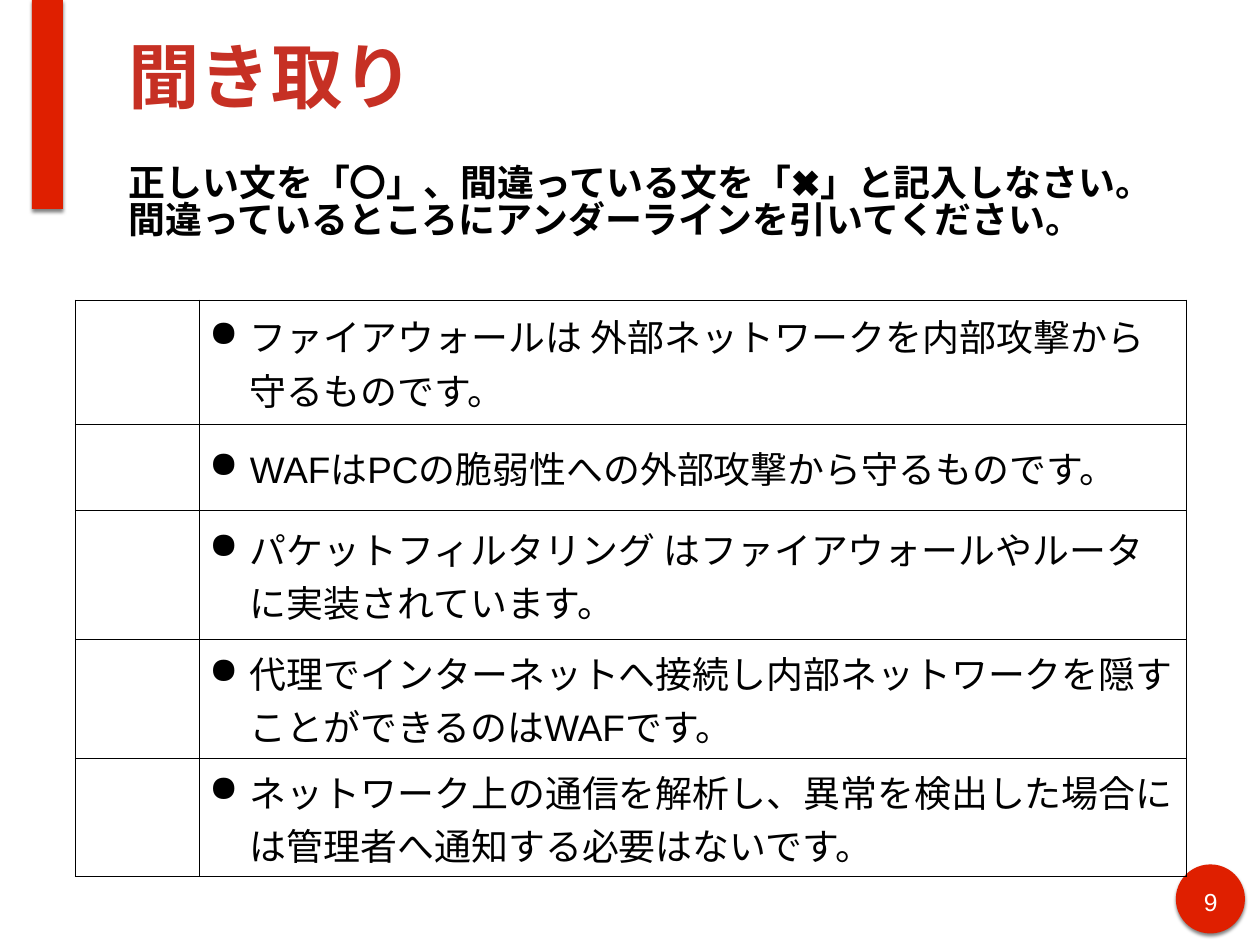
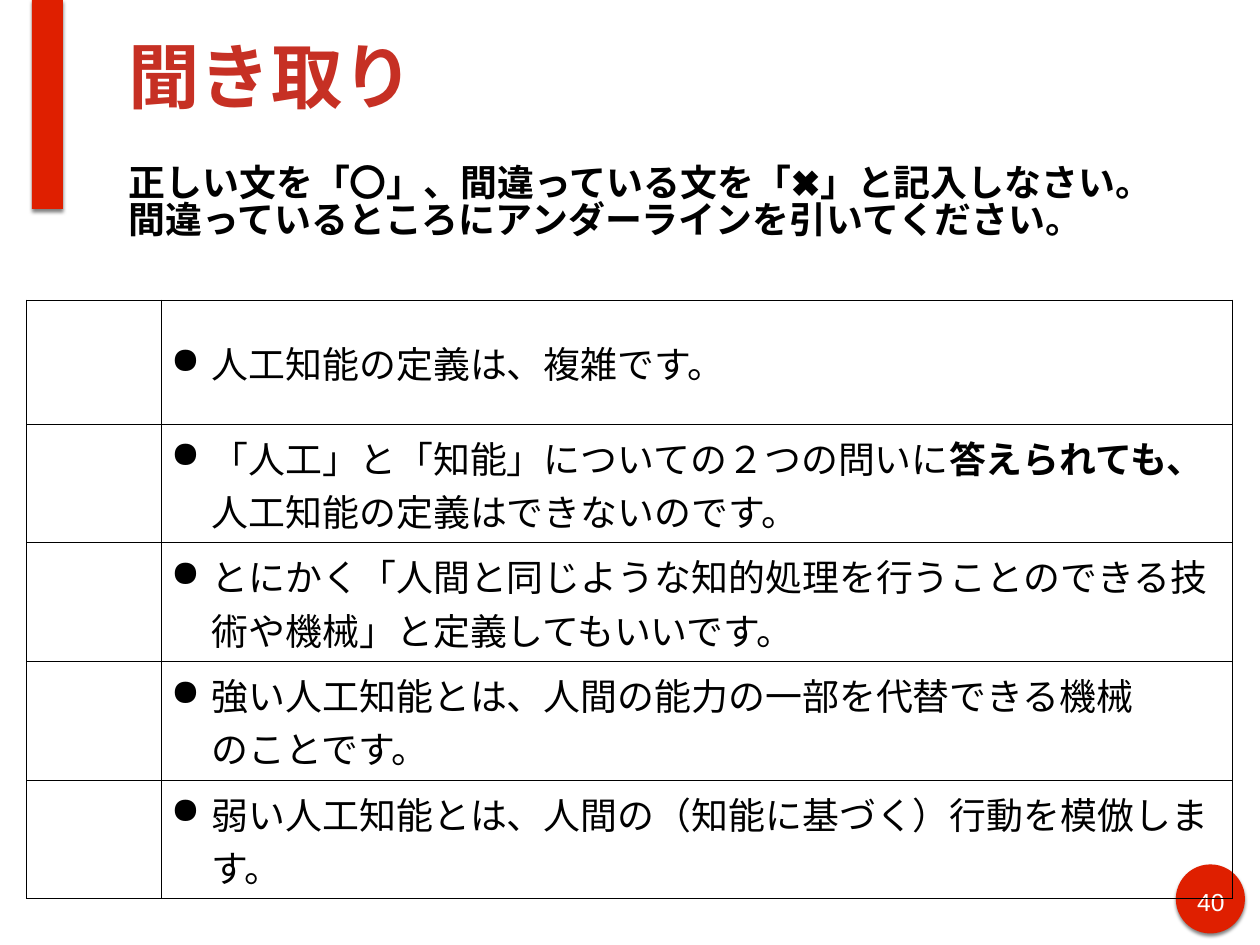
"""Builds two listening-check slides, each with a true-or-false answer table."""
from dataclasses import dataclass

from lxml import etree
from pptx import Presentation
from pptx import util as u
from pptx.dml.color import RGBColor
from pptx.enum import lang, shapes, text
from pptx.oxml import parse_xml
from pptx.oxml.ns import nsdecls, qn


@dataclass(frozen=True)
class Theme:
    font: str = "Arial"
    accent: str = "DF1F00"
    title: str = "C63024"
    ink: str = "000000"
    paper: str = "FFFFFF"
    title_size: int = 58
    body_size: int = 30
    number_size: int = 20


THEME = Theme()
TITLE = "聞き取り"
INSTRUCTION = (
    "正しい文を「〇」、間違っている文を「✖」と記入しなさい。\n"
    "間違っているところにアンダーラインを引いてください。"
)
PAGES = [
    {
        "number": "9",
        "left": 0.85,
        "columns": (1.4, 11.14),
        "rows": [
            (1.4, "ファイアウォールは 外部ネットワークを内部攻撃から守るものです。"),
            (0.97, "WAFはPCの脆弱性への外部攻撃から守るものです。"),
            (1.46, "パケットフィルタリング はファイアウォールやルータに実装されています。"),
            (1.34, "代理でインターネットへ接続し内部ネットワークを隠すことができるのはWAFです。"),
            (1.34, "ネットワーク上の通信を解析し、異常を検出した場合には管理者へ通知する必要はないです。"),
        ],
    },
    {
        "number": "40",
        "left": 0.3,
        "columns": (1.52, 12.09),
        "rows": [
            (1.4, "人工知能の定義は、複雑です。"),
            (1.34, [
                ("「人工」と「知能」についての２つの問いに", False),
                ("答えられても、", True),
                ("人工知能の定義はできないのです。", False),
            ]),
            (1.34, "とにかく「人間と同じような知的処理を行うことのできる技術や機械」と定義してもいいです。"),
            (1.34, "強い人工知能とは、人間の能力の一部を代替できる機械\nのことです。"),
            (1.34, "弱い人工知能とは、人間の（知能に基づく）行動を模倣します。"),
        ],
    },
]
TABLE_TOP = 3.39


def style(para, size, color, bold=False):
    font = para.font
    font.name, font.size, font.bold = THEME.font, u.Pt(size), bold
    font.color.rgb = RGBColor.from_string(color)
    font.language_id = lang.MSO_LANGUAGE_ID.JAPANESE


def set_margins(holder, inches):
    for side in ("left", "right", "top", "bottom"):
        setattr(holder, f"margin_{side}", u.Inches(inches))


def add_accent(page, kind, *place):
    shape = page.shapes.add_shape(kind, *map(u.Inches, place))
    shape.fill.solid()
    shape.fill.fore_color.rgb = RGBColor.from_string(THEME.accent)
    shape.line.fill.background()
    shape.shadow.inherit = False
    effects = shape._element.spPr.find(qn("a:effectLst"))
    effects.append(parse_xml(
        f'<a:outerShdw {nsdecls("a")} blurRad="{u.Pt(3)}" dist="{u.Pt(2)}" '
        f'dir="5400000" rotWithShape="0"><a:srgbClr val="{THEME.ink}">'
        '<a:alpha val="49000"/></a:srgbClr></a:outerShdw>'))


def add_text(page, place, words, size, color, bold=False, anchor=text.MSO_ANCHOR.MIDDLE):
    frame = page.shapes.add_textbox(*map(u.Inches, place)).text_frame
    frame.word_wrap = True
    frame.vertical_anchor = anchor
    set_margins(frame, 0.06)
    para = frame.paragraphs[0]
    para.text = words
    style(para, size, color, bold)
    return para


def add_frame(page, number):
    add_accent(page, shapes.MSO_SHAPE.OVAL, 13.27, 9.76, 0.78, 0.78)
    add_accent(page, shapes.MSO_SHAPE.RECTANGLE, 0.36, 0, 0.35, 2.36)
    para = add_text(page, (13.42, 9.95, 0.49, 0.39), number, THEME.number_size,
                    THEME.paper, anchor=text.MSO_ANCHOR.TOP)
    para.alignment = text.PP_ALIGN.CENTER
    add_text(page, (1.39, 0.12, 12.14, 1.45), TITLE, THEME.title_size, THEME.title, True)
    para = add_text(page, (1.39, 1.33, 12.35, 1.95), INSTRUCTION, THEME.body_size,
                    THEME.ink, True)
    para.line_spacing = 0.82


def outline_cell(cell):
    properties = cell._tc.get_or_add_tcPr()
    for side in "LRTB":
        properties.append(parse_xml(
            f'<a:ln{side} {nsdecls("a")} w="{u.Pt(1)}"><a:solidFill>'
            f'<a:srgbClr val="{THEME.ink}"/></a:solidFill></a:ln{side}>'))
    cell.fill.background()


def add_bullet(para):
    properties = para._p.get_or_add_pPr()
    properties.set("marL", str(u.Inches(0.5)))
    properties.set("indent", str(u.Inches(-0.46)))
    color = etree.SubElement(properties, qn("a:buClr"))
    etree.SubElement(color, qn("a:srgbClr")).set("val", THEME.ink)
    etree.SubElement(properties, qn("a:buChar")).set("char", "●")


def fill_statement(cell, statement):
    cell.vertical_anchor = text.MSO_ANCHOR.MIDDLE
    set_margins(cell, 0.07)
    para = cell.text_frame.paragraphs[0]
    add_bullet(para)
    style(para, THEME.body_size, THEME.ink)
    if isinstance(statement, str):
        para.text = statement
        return
    for words, bold in statement:
        span = para.add_run()
        span.text, span.font.bold = words, bold


def add_answers(page, left, columns, rows):
    height = sum(size for size, _ in rows)
    place = map(u.Inches, (left, TABLE_TOP, sum(columns), height))
    table = page.shapes.add_table(len(rows), len(columns), *place).table
    table.first_row = table.horz_banding = False
    for column, width in zip(table.columns, columns):
        column.width = u.Inches(width)
    for row, (size, statement) in zip(table.rows, rows):
        row.height = u.Inches(size)
        for cell in row.cells:
            outline_cell(cell)
        fill_statement(row.cells[1], statement)


def main():
    deck = Presentation()
    deck.slide_width, deck.slide_height = u.Inches(14.22), u.Inches(10.67)
    for content in PAGES:
        page = deck.slides.add_slide(deck.slide_layouts[6])
        add_frame(page, content["number"])
        add_answers(page, content["left"], content["columns"], content["rows"])
    deck.save("out.pptx")


if __name__ == "__main__":
    main()
